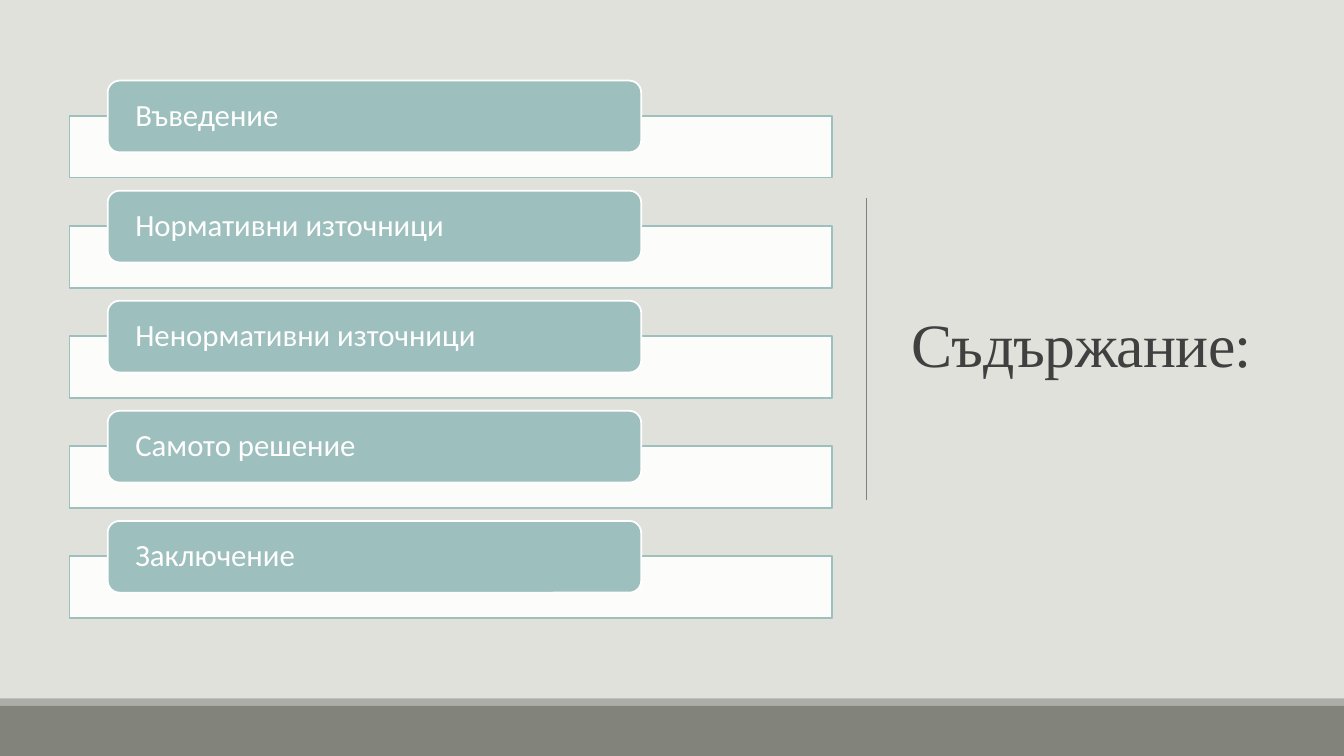
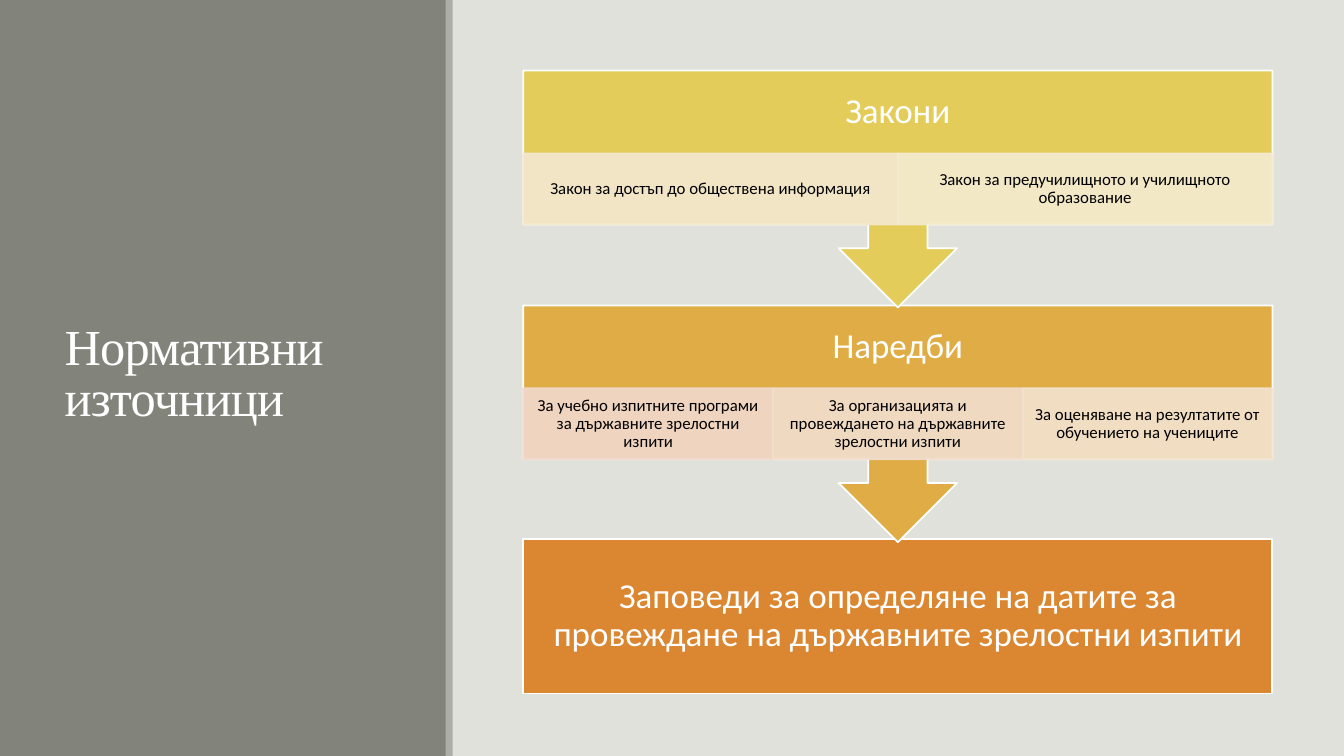
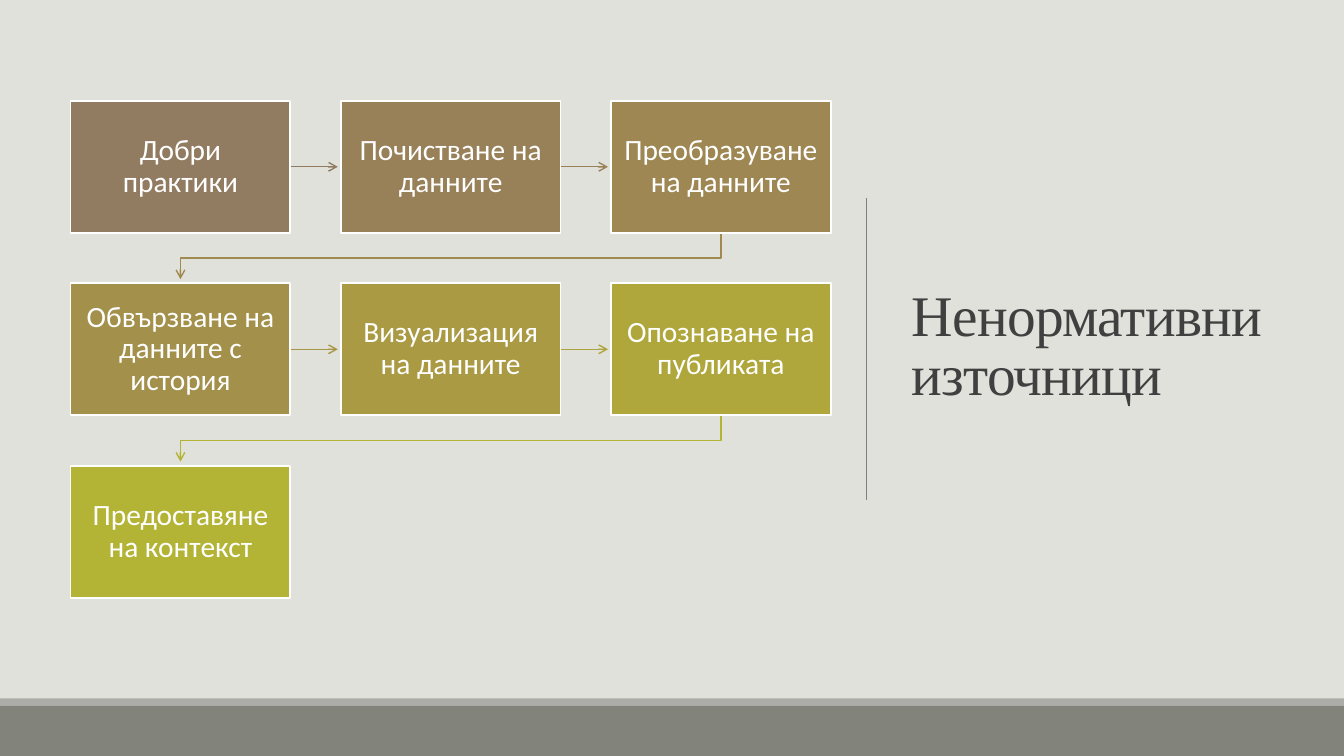
from dataclasses import dataclass

from lxml.etree import SubElement
from pptx import Presentation
from pptx.dml.color import RGBColor
from pptx.enum.shapes import MSO_CONNECTOR, MSO_SHAPE
from pptx.enum.text import MSO_ANCHOR, MSO_AUTO_SIZE, PP_ALIGN
from pptx.oxml.ns import qn
from pptx.util import Inches, Pt


@dataclass(frozen=True)
class Theme:
    background: str = "E1E1DB"
    band: str = "82847C"
    edge: str = "ACADA8"
    rule: str = "808080"
    ink: str = "404040"
    white: str = "FFFFFF"
    black: str = "000000"
    agenda: str = "9DBFBE"
    steps: tuple = ("927C61", "988159", "9E8752", "A3904B", "A99A43", "AFA73C", "B3B435")
    arrows: tuple = ("927C61", "998258", "A08A4F", "A79646", "ADA43E", "B3B435")
    title_font: str = "Times New Roman"
    body_font: str = "Calibri"
    agenda_size: int = 22
    stage_size: int = 25
    detail_size: int = 12
    step_size: int = 21
    outline: float = 1.25


THEME = Theme()


@dataclass(frozen=True)
class Box:
    left: float
    top: float
    width: float
    height: float

    @property
    def right(self):
        return self.left + self.width

    @property
    def bottom(self):
        return self.top + self.height

    @property
    def center(self):
        return self.left + self.width / 2

    @property
    def middle(self):
        return self.top + self.height / 2

    def emu(self):
        return [Inches(n) for n in (self.left, self.top, self.width, self.height)]

    def share(self, left, top, width, height):
        """A box inside this one, given as shares of its size."""
        return Box(self.left + left * self.width, self.top + top * self.height,
                   width * self.width, height * self.height)

    def cells(self, columns, rows, gap=0):
        """Equal cells, row by row."""
        width = (self.width - gap * (columns - 1)) / columns
        height = (self.height - gap * (rows - 1)) / rows
        return [Box(self.left + column * (width + gap), self.top + row * (height + gap), width, height)
                for row in range(rows) for column in range(columns)]


PAGE = Box(0, 0, 13.33, 7.5)
TITLE_RIGHT = Box(8.94, 0.69, 3.69, 5.53)
TITLE_LEFT = Box(0.54, 0.57, 3.37, 6.31)
AGENDA = Box(0.69, 0.8, 7.56, 5.33)
STAGES = Box(5.19, 0.7, 7.43, 6.18)
STEPS = Box(0.7, 1, 7.54, 4.93)


# Shared drawing helpers

def set_alpha(fill_parent, percent):
    color = fill_parent.find(qn("a:solidFill"))[0]
    SubElement(color, qn("a:alpha"), val=str(percent * 1000))


def add_block(page, box, fill, line=None, kind=MSO_SHAPE.RECTANGLE, alpha=None):
    shape = page.shapes.add_shape(kind, *box.emu())
    shape.shadow.inherit = False
    shape.fill.solid()
    shape.fill.fore_color.rgb = RGBColor.from_string(fill)
    if line:
        shape.line.color.rgb = RGBColor.from_string(line)
        shape.line.width = Pt(THEME.outline)
    else:
        shape.line.fill.background()
    if alpha:
        set_alpha(shape._element.spPr, alpha)
    return shape


def write(shape, text, size, color, font=THEME.body_font, align=PP_ALIGN.CENTER,
          insets=(0.1, 0.05, 0.1, 0.05), spacing=0.9):
    frame = shape.text_frame
    frame.text = text
    frame.word_wrap = True
    frame.auto_size = MSO_AUTO_SIZE.NONE
    frame.vertical_anchor = MSO_ANCHOR.MIDDLE
    (frame.margin_left, frame.margin_top,
     frame.margin_right, frame.margin_bottom) = [Inches(n) for n in insets]
    para = frame.paragraphs[0]
    para.alignment = align
    para.line_spacing = spacing
    span = para.runs[0]
    span.font.name = font
    span.font.size = Pt(size)
    span.font.color.rgb = RGBColor.from_string(color)
    return span


def style_line(shape, color, width, arrow=False):
    shape.line.color.rgb = RGBColor.from_string(color)
    shape.line.width = Pt(width)
    if arrow:
        SubElement(shape.line._get_or_add_ln(), qn("a:tailEnd"), type="arrow")


def add_line(page, start, end, color, width, arrow=False):
    line = page.shapes.add_connector(MSO_CONNECTOR.STRAIGHT, *[Inches(n) for n in (*start, *end)])
    style_line(line, color, width, arrow)
    SubElement(line._element.spPr, qn("a:effectLst"))


def add_title(page, box, text, size, color):
    title = page.shapes.title
    title.left, title.top, title.width, title.height = box.emu()
    span = write(title, text, size, color, THEME.title_font, PP_ALIGN.LEFT, spacing=0.85)
    span._r.get_or_add_rPr().set("spc", "-50")
    # Keep the title above the bands
    page.shapes._spTree.append(title._element)


# Page types

def add_page(deck):
    return deck.slides.add_slide(deck.slide_layouts.get_by_name("Title Only"))


def add_right_title_page(deck, title, size):
    page = add_page(deck)
    add_block(page, Box(0, 6.93, PAGE.width, 0.07), THEME.edge)
    add_block(page, Box(0, 7, PAGE.width, 0.5), THEME.band)
    add_line(page, (8.59, 1.96), (8.59, 4.96), THEME.rule, 0.5)
    add_title(page, TITLE_RIGHT, title, size, THEME.ink)
    return page


def add_left_title_page(deck, title, size):
    page = add_page(deck)
    add_block(page, Box(0, 0, 4.43, PAGE.height), THEME.band)
    add_block(page, Box(4.42, 0, 0.07, PAGE.height), THEME.edge)
    add_title(page, TITLE_LEFT, title, size, THEME.white)
    return page


# Regions

def add_agenda(page, box, topics):
    for cell, topic in zip(box.cells(1, len(topics), gap=0.13), topics):
        add_block(page, cell.share(0, 0.365, 1, 0.635), THEME.white, THEME.agenda, alpha=90)
        tab = add_block(page, cell.share(0.05, 0, 0.7, 0.74), THEME.agenda, THEME.white,
                        MSO_SHAPE.ROUNDED_RECTANGLE)
        write(tab, topic, THEME.agenda_size, THEME.white, align=PP_ALIGN.LEFT,
              insets=(0.24, 0, 0.24, 0))


def add_stage(page, box, heading, color, details):
    """A heading over a row of details, with an arrow down to the next stage."""
    body_share, heading_share = 0.65, 0.35
    detail_share = body_share - heading_share
    callout = add_block(page, box, color, THEME.white, MSO_SHAPE.DOWN_ARROW_CALLOUT)
    callout.adjustments[3] = body_share
    write(callout, heading, THEME.stage_size, THEME.white,
          insets=(0.19, 0, 0.19, detail_share * box.height))
    row = box.share(0, heading_share, 1, detail_share)
    for cell, (text, tint) in zip(row.cells(len(details), 1), details):
        detail = add_block(page, cell, tint, tint, alpha=90)
        set_alpha(detail.line._get_or_add_ln(), 90)
        write(detail, text, THEME.detail_size, THEME.black, insets=(0.09, 0.02, 0.09, 0.02))


def add_stages(page, box, stages, conclusion, conclusion_color):
    pitch, overlap, last_height = 2.33, 0.02, 1.53
    last = Box(box.left, box.bottom - last_height, box.width, last_height)
    block = add_block(page, last, conclusion_color, THEME.white)
    write(block, conclusion, THEME.stage_size, THEME.white, insets=(0.19,) * 4)
    # Bottom stage first, so that each arrow tip lies over the next stage
    for index, stage in reversed(list(enumerate(stages))):
        add_stage(page, Box(box.left, box.top + index * pitch, box.width, pitch + overlap), *stage)


def add_turn(page, start, end, color):
    """An arrow from the end of one row to the start of the next."""
    bend = (start.bottom + end.top) / 2
    points = [(start.center, start.bottom), (start.center, bend),
              (end.center, bend), (end.center, end.top - 0.04)]
    points = [(Inches(x), Inches(y)) for x, y in points]
    outline = page.shapes.build_freeform(*points[0])
    outline.add_line_segments(points[1:], close=False)
    turn = outline.convert_to_shape()
    turn.shadow.inherit = False
    turn.fill.background()
    style_line(turn, color, 1, arrow=True)


def add_steps(page, box, steps):
    cells = box.cells(3, 3, gap=0.5)[:len(steps)]
    for start, end, color in zip(cells, cells[1:], THEME.arrows):
        if start.top == end.top:
            add_line(page, (start.right, start.middle), (end.left - 0.03, end.middle), color, 1, arrow=True)
        else:
            add_turn(page, start, end, color)
    for cell, text, color in zip(cells, steps, THEME.steps):
        block = add_block(page, cell, color, THEME.white)
        write(block, text, THEME.step_size, THEME.white, insets=(0.11,) * 4)


def main():
    deck = Presentation()
    deck.slide_width, deck.slide_height = Inches(PAGE.width), Inches(PAGE.height)
    backdrop = deck.slide_master.background.fill
    backdrop.solid()
    backdrop.fore_color.rgb = RGBColor.from_string(THEME.background)

    page = add_right_title_page(deck, "Съдържание:", 44)
    add_agenda(page, AGENDA, ["Въведение", "Нормативни източници", "Ненормативни източници",
                              "Самото решение", "Заключение"])

    page = add_left_title_page(deck, "Нормативни източници", 36)
    add_stages(page, STAGES, [
        ("Закони", "E3CC5A", [
            ("Закон за достъп до обществена информация", "F4E8D1"),
            ("Закон за предучилищното и училищното образование", "F4ECD2")]),
        ("Наредби", "DFAC45", [
            ("За учебно изпитните програми за държавните зрелостни изпити", "F1D9CE"),
            ("За организацията и провеждането на държавните зрелостни изпити", "F2DECF"),
            ("За оценяване на резултатите от обучението на учениците", "F3E3D0")]),
    ], "Заповеди за определяне на датите за провеждане на държавните зрелостни изпити", "DB8631")

    page = add_right_title_page(deck, "Ненормативни източници", 41)
    add_steps(page, STEPS, ["Добри практики", "Почистване на данните", "Преобразуване на данните",
                            "Обвързване на данните с история", "Визуализация на данните",
                            "Опознаване на публиката", "Предоставяне на контекст"])

    deck.save("out.pptx")


if __name__ == "__main__":
    main()
